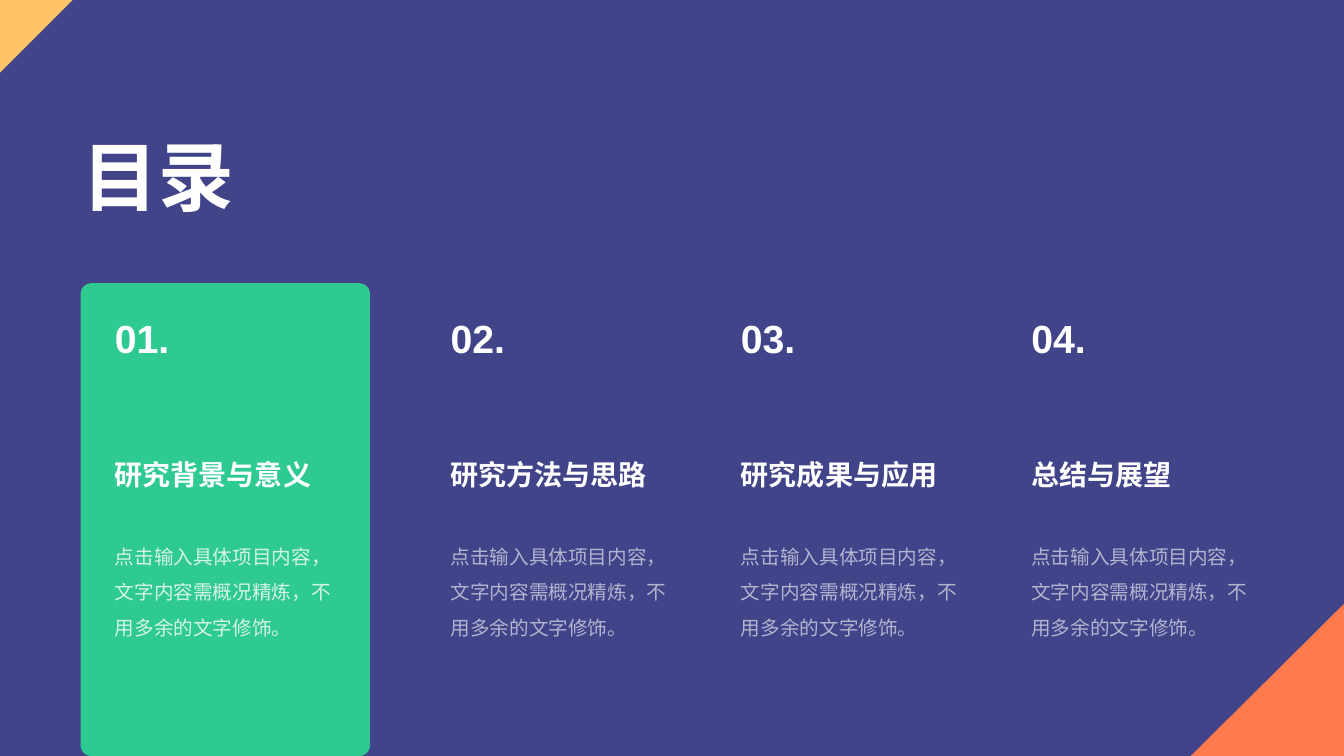
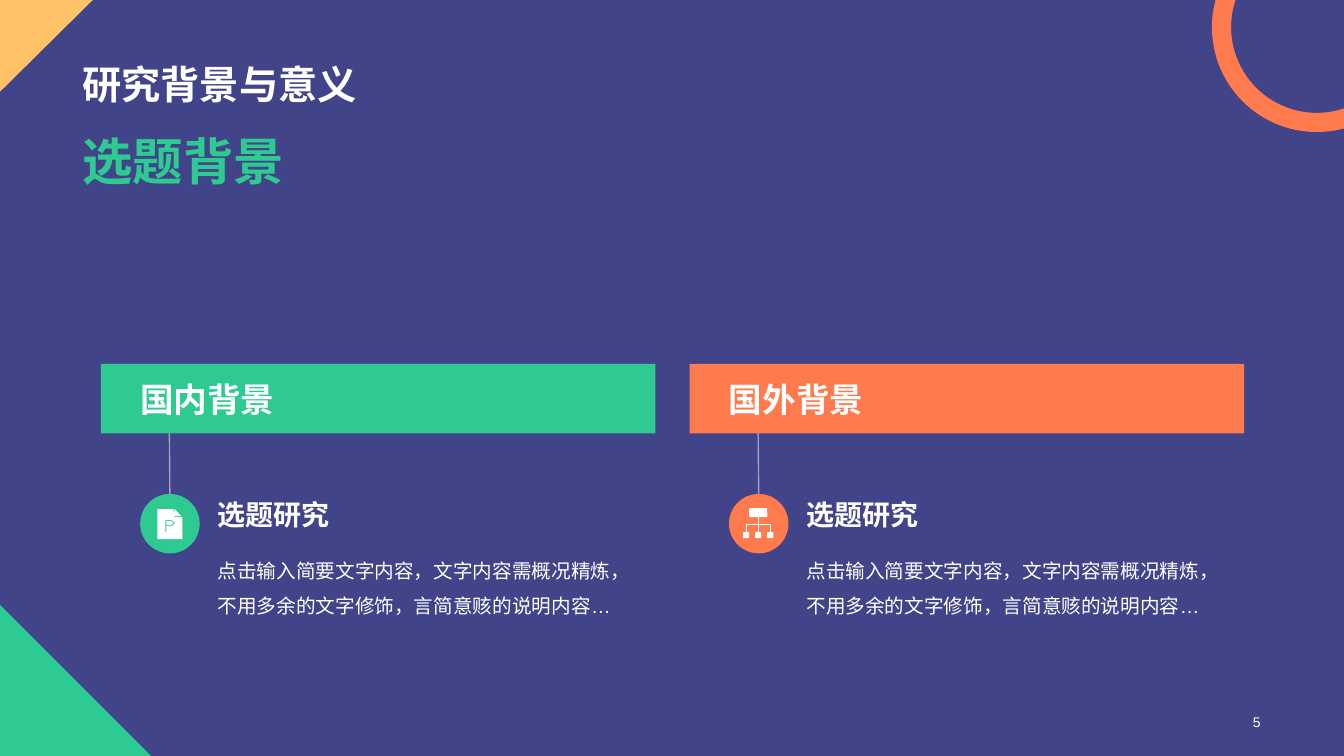
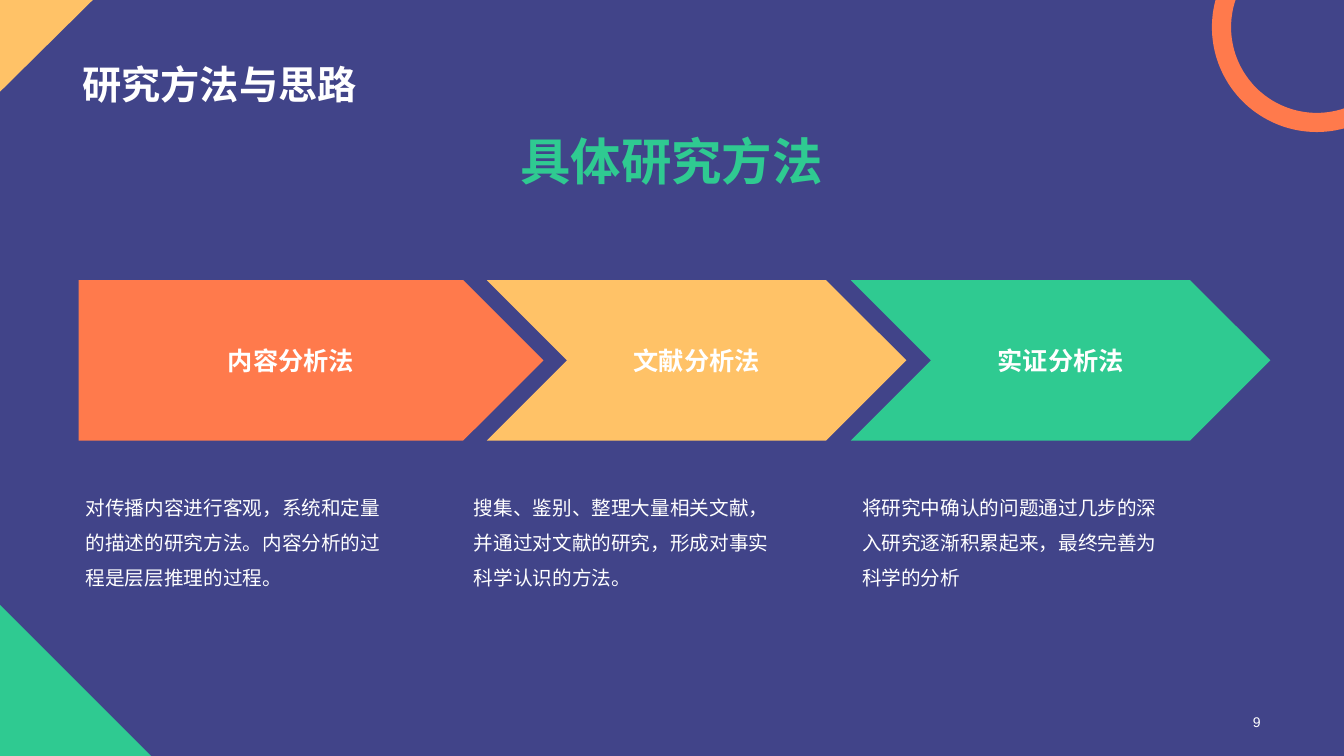
import math
from dataclasses import dataclass

import lxml.etree
import pptx
import pptx.dml.color
import pptx.enum.lang
import pptx.enum.shapes
import pptx.enum.text
import pptx.oxml.ns
import pptx.util

Inches = pptx.util.Inches
Shape = pptx.enum.shapes.MSO_SHAPE
Align = pptx.enum.text.PP_ALIGN
Anchor = pptx.enum.text.MSO_ANCHOR
qn = pptx.oxml.ns.qn


@dataclass(frozen=True)
class Theme:
    font: str = "Arial"
    width: float = 13.33
    height: float = 7.5
    margin: float = 0.72
    content_width: float = 11.88
    navy: str = "414489"
    green: str = "2FCA91"
    orange: str = "FF7A4C"
    yellow: str = "FFC267"
    white: str = "FFFFFF"
    cover: int = 54
    subtitle: int = 36
    title: int = 28
    banner: int = 24
    heading: int = 20
    label: int = 18
    body: int = 14
    footer: int = 10


class Deck:
    """Holds the theme and the current slide, and draws each kind of element."""

    def __init__(self, theme):
        self.theme = theme
        self.presentation = pptx.Presentation()
        self.presentation.slide_width = Inches(theme.width)
        self.presentation.slide_height = Inches(theme.height)
        self.slide = None

    def start_slide(self):
        self.slide = self.presentation.slides.add_slide(self.presentation.slide_layouts[6])
        self.paint(self.slide.background, self.theme.navy)

    def start_content_slide(self, title, number):
        theme = self.theme
        self.start_slide()
        self.outline([[(0, 6), (1.5, theme.height), (0, theme.height)]], theme.green)
        self.ring((13.06, 0.27), 1.04, 0.85)
        self.outline([[(0, 0), (0.92, 0), (0, 0.91)]], theme.yellow)
        self.text((theme.margin, 0, theme.content_width, 1.12), title, theme.title,
                  bold=True, anchor=Anchor.BOTTOM, spacing=0.9)
        self.text((9.69, 7.04, 2.91, 0.24), number, theme.footer,
                  anchor=Anchor.MIDDLE, align=Align.RIGHT)

    def subtitle(self, content, align=Align.LEFT):
        self.text((self.theme.margin, 1.24, self.theme.content_width, 0.71), content,
                  self.theme.subtitle, self.theme.green, bold=True, align=align)

    def paint(self, target, color):
        target.fill.solid()
        target.fill.fore_color.rgb = pptx.dml.color.RGBColor.from_string(color)

    def set_alpha(self, element, percent):
        color = element.find(".//" + qn("a:srgbClr"))
        lxml.etree.SubElement(color, qn("a:alpha")).set("val", str(percent * 1000))

    def set_text(self, shape, content, size, color=None, bold=False, align=Align.LEFT,
                 anchor=Anchor.TOP, spacing=None, insets=(0.1, 0.05), alpha=None):
        frame = shape.text_frame
        frame.text = content
        frame.word_wrap = True
        frame.vertical_anchor = anchor
        frame.margin_left, frame.margin_top = (Inches(inset) for inset in insets)
        frame.margin_right = Inches(min(insets[0], 0.12))
        frame.margin_bottom = frame.margin_top
        paragraph = frame.paragraphs[0]
        paragraph.alignment = align
        paragraph.line_spacing = spacing
        font = paragraph.runs[0].font
        font.size = pptx.util.Pt(size)
        font.bold = bold
        font.name = self.theme.font
        font.language_id = pptx.enum.lang.MSO_LANGUAGE_ID.SIMPLIFIED_CHINESE
        self.paint(font, color or self.theme.white)
        properties = paragraph.runs[0]._r.rPr
        lxml.etree.SubElement(properties, qn("a:ea")).set("typeface", self.theme.font)
        if alpha:
            self.set_alpha(properties, alpha)

    def text(self, box, content, size, color=None, **style):
        shape = self.slide.shapes.add_textbox(*map(Inches, box))
        self.set_text(shape, content, size, color, **style)

    def body(self, box, content, **style):
        self.text(box, content, self.theme.body, spacing=1.5, **style)

    def finish(self, shape, color):
        shape.shadow.inherit = False
        self.paint(shape, color)
        shape.line.fill.background()
        return shape

    def block(self, kind, box, color, rounding=None):
        shape = self.slide.shapes.add_shape(kind, *map(Inches, box))
        if rounding is not None:
            shape.adjustments[0] = rounding
        return self.finish(shape, color)

    def outline(self, contours, color, left=0, top=0):
        builder = None
        for contour in contours:
            points = [(Inches(left + x), Inches(top + y)) for x, y in contour]
            if builder is None:
                builder = self.slide.shapes.build_freeform(*points[0])
            else:
                builder.move_to(*points[0])
            builder.add_line_segments(points[1:], close=True)
        return self.finish(builder.convert_to_shape(), color)

    def ring(self, center, outer, inner, steps=48):
        x, y = center

        def arc(radius):
            start = math.acos((self.theme.width - x) / radius)
            end = math.pi + math.asin(y / radius)
            angles = [start + (end - start) * step / steps for step in range(steps + 1)]
            return [(x + radius * math.cos(angle), y + radius * math.sin(angle))
                    for angle in angles]

        self.outline([arc(outer) + arc(inner)[::-1]], self.theme.orange)

    def line(self, start, end, width, begin_shape=None, end_shape=None, alpha=None):
        connector = self.slide.shapes.add_connector(
            pptx.enum.shapes.MSO_CONNECTOR.STRAIGHT, *map(Inches, start + end))
        if begin_shape is not None:
            connector.begin_connect(begin_shape, 2)
        if end_shape is not None:
            connector.end_connect(end_shape, 0)
        connector.line.width = pptx.util.Pt(width)
        self.paint(connector.line, self.theme.white)
        lxml.etree.SubElement(connector._element.spPr, qn("a:effectLst"))
        if alpha:
            self.set_alpha(connector._element.spPr, alpha)

    def document_icon(self, left, top):
        page = [(0.17, 0.15), (0.33, 0.15), (0.34, 0.23), (0.42, 0.23), (0.42, 0.45), (0.17, 0.45)]
        fold = [(0.34, 0.15), (0.41, 0.22), (0.34, 0.22)]
        letter = [(0.25, 0.26), (0.31, 0.26), (0.34, 0.28), (0.34, 0.3),
                  (0.31, 0.32), (0.26, 0.32), (0.26, 0.38), (0.25, 0.38)]
        bowl = [(0.26, 0.27), (0.31, 0.27), (0.33, 0.29), (0.31, 0.31), (0.26, 0.31)]
        self.outline([page, fold, letter, bowl], self.theme.white, left, top)

    def hierarchy_icon(self, left, top):
        center, gap, bar = left + 0.29, 0.12, top + 0.3
        root = self.block(Shape.ROUNDED_RECTANGLE, (center - 0.09, top + 0.14, 0.18, 0.09),
                          self.theme.white, 0.15)
        self.line((center - gap, bar), (center + gap, bar), 0.75)
        for offset in (-gap, 0, gap):
            x = center + offset
            node = self.block(Shape.ROUNDED_RECTANGLE, (x - 0.03, top + 0.38, 0.06, 0.06),
                              self.theme.white, 0.15)
            self.line((x, bar), (x, top + 0.38), 0.75, None if offset else root, node)


def add_contents(deck):
    theme = deck.theme
    deck.start_slide()
    deck.outline([[(theme.width, 5.99), (11.81, theme.height), (theme.width, theme.height)]],
                 theme.orange)
    deck.outline([[(0, 0), (0.72, 0), (0, 0.72)]], theme.yellow)
    deck.text((theme.margin, 1.24, 4.4, 1.01), "目录", theme.cover, bold=True)
    deck.block(Shape.ROUNDED_RECTANGLE, (0.8, 2.81, 2.87, 4.69), theme.green, 0.037)
    chapters = ("研究背景与意义", "研究方法与思路", "研究成果与应用", "总结与展望")
    for index, chapter in enumerate(chapters):
        left = 1.49 + 2.88 * index if index else 1.04
        deck.text((left, 3.07, 1.28, 0.57), f"{index + 1:02}.", theme.title, bold=True)
        deck.text((left, 4.49, 2.4, 0.44), chapter, theme.heading, bold=True)
        deck.body((left, 5.24, 2.4, 1.12),
                  "点击输入具体项目内容，文字内容需概况精炼，不用多余的文字修饰。",
                  alpha=60 if index else 80)


def add_background(deck):
    theme = deck.theme
    deck.start_content_slide("研究背景与意义", "5")
    deck.subtitle("选题背景")
    topics = (("国内背景", theme.green, deck.document_icon),
              ("国外背景", theme.orange, deck.hierarchy_icon))
    for index, (topic, color, draw_icon) in enumerate(topics):
        left = 1 + 5.84 * index
        banner = deck.block(Shape.RECTANGLE, (left, 3.61, 5.5, 0.69), color)
        deck.set_text(banner, topic, theme.banner, bold=True, anchor=Anchor.MIDDLE,
                      insets=(0.39, 0.05))
        deck.text((left + 1.06, 4.88, 4.44, 0.44), "选题研究", theme.heading,
                  bold=True, anchor=Anchor.BOTTOM)
        deck.body((left + 1.06, 5.38, 4.44, 0.77),
                  "点击输入简要文字内容，文字内容需概况精炼，不用多余的文字修饰，言简意赅的说明内容…")
        badge = deck.block(Shape.OVAL, (left + 0.39, 4.9, 0.59, 0.59), color)
        deck.line((left + 0.68, 4.3), (left + 0.68, 4.9), 1, end_shape=badge, alpha=50)
        draw_icon(left + 0.39, 4.9)


def add_methods(deck):
    theme = deck.theme
    deck.start_content_slide("研究方法与思路", "9")
    deck.subtitle("具体研究方法", Align.CENTER)
    methods = (
        (Shape.PENTAGON, 0.78, 4.61, theme.orange, "内容分析法",
         "对传播内容进行客观，系统和定量的描述的研究方法。内容分析的过程是层层推理的过程。"),
        (Shape.CHEVRON, 4.83, 4.16, theme.yellow, "文献分析法",
         "搜集、鉴别、整理大量相关文献，并通过对文献的研究，形成对事实科学认识的方法。"),
        (Shape.CHEVRON, 8.44, 4.16, theme.green, "实证分析法",
         "将研究中确认的问题通过几步的深入研究逐渐积累起来，最终完善为科学的分析"),
    )
    for index, (kind, left, width, color, name, description) in enumerate(methods):
        arrow = deck.block(kind, (left, 2.78, width, 1.59), color)
        deck.set_text(arrow, name, theme.label, bold=True, align=Align.CENTER,
                      anchor=Anchor.MIDDLE)
        deck.body((0.73 + 3.85 * index, 4.68, 3.27, 1.26), description, insets=(0.12, 0.12))


def main():
    deck = Deck(Theme())
    add_contents(deck)
    add_background(deck)
    add_methods(deck)
    deck.presentation.save("out.pptx")


if __name__ == "__main__":
    main()
